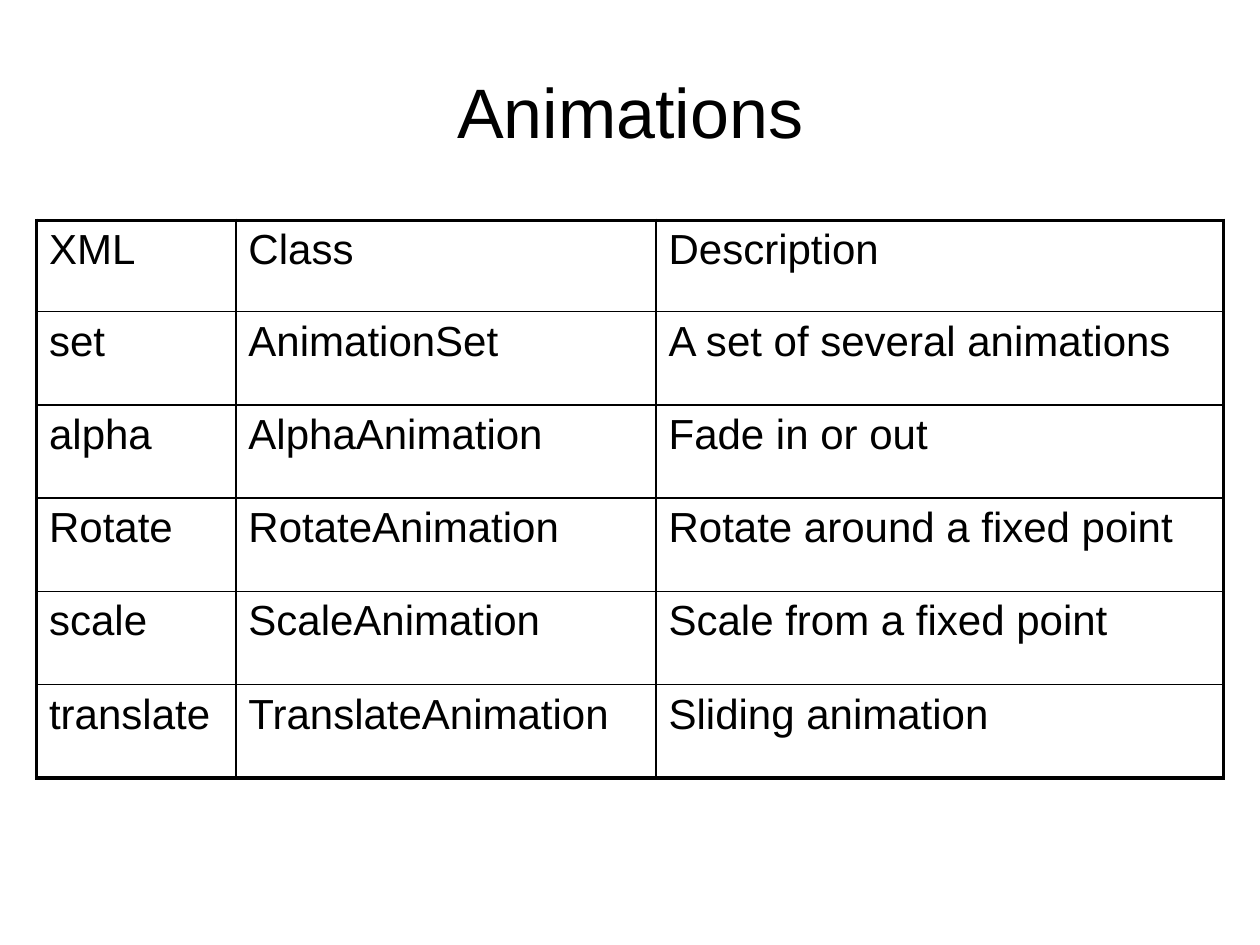
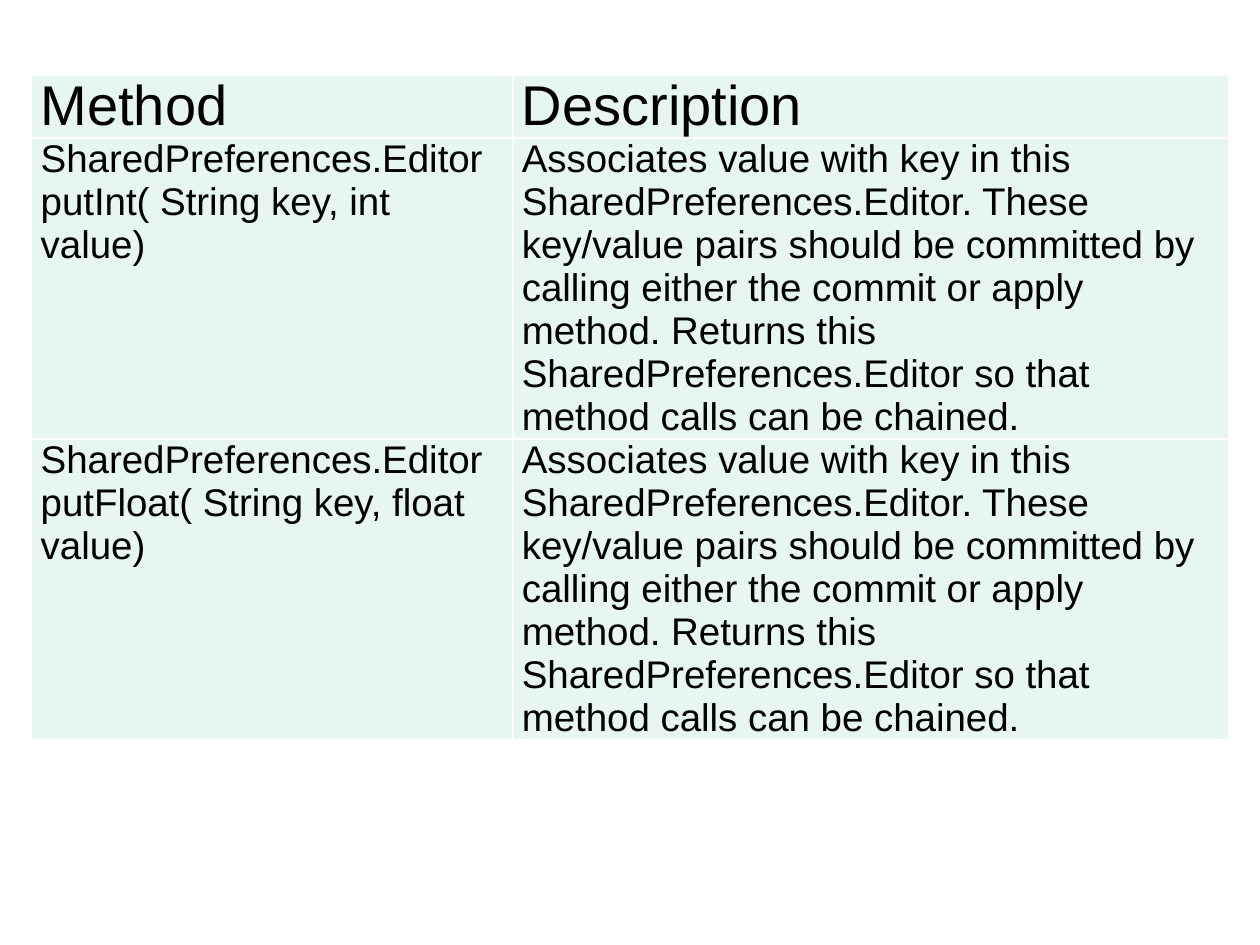
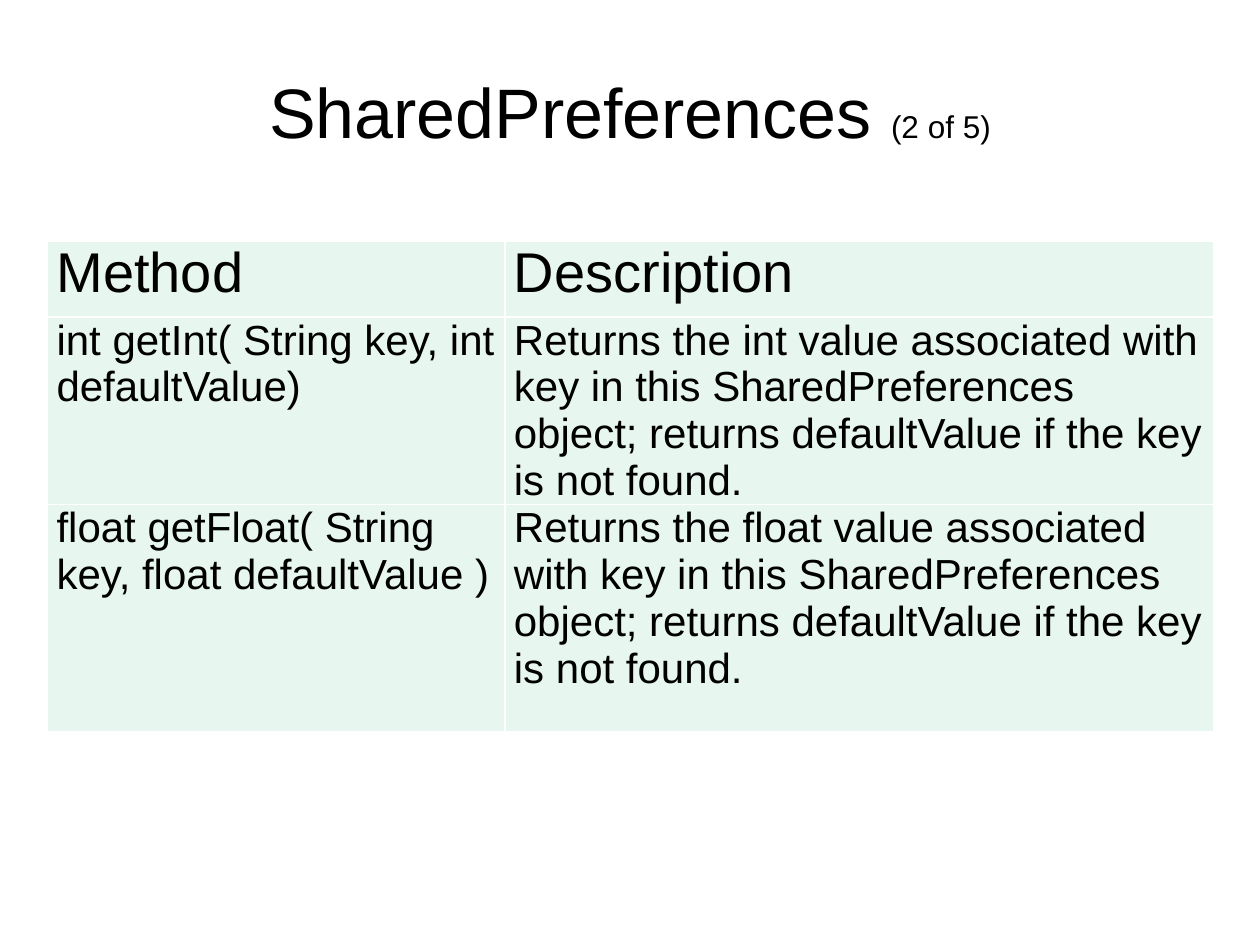
from pptx import Presentation
from pptx.dml.color import RGBColor
from pptx.enum.text import MSO_ANCHOR, PP_ALIGN
from pptx.oxml.ns import qn
from pptx.util import Cm, Pt
from lxml.etree import SubElement

FONT = "Arial"
LINE_RATIO = 1.117
BLACK, WHITE, MINT = "000000", "FFFFFF", "E7F6EF"
TITLE_BOX = (1.27, 0.64, 22.86, 3.18)

ANIMATIONS = [
    ("XML", "Class", "Description"),
    ("set", "AnimationSet", "A set of several animations"),
    ("alpha", "AlphaAnimation", "Fade in or out"),
    ("Rotate", "RotateAnimation", "Rotate around a fixed point"),
    ("scale", "ScaleAnimation", "Scale from a fixed point"),
    ("translate", "TranslateAnimation", "Sliding animation"),
]
METHOD_HEADER = ("Method", "Description")
PUT_DESCRIPTION = (
    "Associates value with key in this SharedPreferences.Editor. These key/value pairs "
    "should be committed by calling either the commit or apply method. Returns this "
    "SharedPreferences.Editor so that method calls can be chained."
)
GET_DESCRIPTION = (
    "Returns the {} value associated with key in this SharedPreferences object; "
    "returns defaultValue if the key is not found."
)
PUT_METHODS = [
    METHOD_HEADER,
    ("SharedPreferences.Editor putInt( String key, int value)", PUT_DESCRIPTION),
    ("SharedPreferences.Editor putFloat( String key, float value)", PUT_DESCRIPTION),
]
GET_METHODS = [
    METHOD_HEADER,
    ("int getInt( String key, int defaultValue)", GET_DESCRIPTION.format("int")),
    ("float getFloat( String key, float defaultValue )", GET_DESCRIPTION.format("float")),
]

GRID_STYLE = {"fill": None, "line": BLACK, "outer": 2.25, "inner": 1, "insets": (0.25, 0.13)}
MINT_STYLE = {"fill": MINT, "line": WHITE, "outer": 1, "inner": 1, "insets": (0.18, 0)}

SLIDES = [
    {"title": [("Animations", 40)], "rows": ANIMATIONS, "style": GRID_STYLE,
     "corner": (0.74, 4.44), "widths": [4.02, 8.47, 11.43],
     "heights": [1.84] + [1.88] * 5, "sizes": (24, 24)},
    {"title": [], "rows": PUT_METHODS, "style": MINT_STYLE,
     "corner": (0.64, 1.52), "widths": [9.7, 14.43],
     "heights": [1.26, 6.07, 6.07], "sizes": (32, 22)},
    {"title": [("SharedPreferences ", 40), ("(2 of 5)", 18)], "rows": GET_METHODS,
     "style": MINT_STYLE, "corner": (0.96, 4.87), "widths": [9.22, 14.28],
     "heights": [1.52, 3.77, 4.57], "sizes": (32, 24)},
]


def color(value):
    return RGBColor.from_string(value)


def set_font(font, size):
    font.name = FONT
    font.size = Pt(size)
    font.color.rgb = color(BLACK)


def add_title(slide, parts):
    frame = slide.shapes.add_textbox(*map(Cm, TITLE_BOX)).text_frame
    frame.word_wrap = True
    frame.vertical_anchor = MSO_ANCHOR.MIDDLE
    paragraph = frame.paragraphs[0]
    paragraph.alignment = PP_ALIGN.CENTER
    for text, size in parts:
        run = paragraph.add_run()
        run.text = text
        set_font(run.font, size)


def set_borders(cell, widths, line):
    properties = cell._tc.get_or_add_tcPr()
    for side, width in zip("LRTB", widths):
        border = SubElement(properties, qn(f"a:ln{side}"), w=str(Pt(width)))
        fill = SubElement(border, qn("a:solidFill"))
        SubElement(fill, qn("a:srgbClr"), val=line)


def fill_cell(cell, text, size, style):
    cell.text = text
    paragraph = cell.text_frame.paragraphs[0]
    paragraph.line_spacing = Pt(size * LINE_RATIO)
    set_font(paragraph.font, size)
    horizontal, vertical = map(Cm, style["insets"])
    cell.margin_left = cell.margin_right = horizontal
    cell.margin_top = cell.margin_bottom = vertical
    if style["fill"]:
        cell.fill.solid()
        cell.fill.fore_color.rgb = color(style["fill"])
    else:
        cell.fill.background()


def add_table(slide, rows, style, corner, widths, heights, sizes):
    extent = (sum(widths), sum(heights))
    table = slide.shapes.add_table(
        len(rows), len(widths), *map(Cm, corner + extent)).table
    table.first_row = table.horz_banding = False
    for column, width in zip(table.columns, widths):
        column.width = Cm(width)
    for row, height in zip(table.rows, heights):
        row.height = Cm(height)
    last_row, last_column = len(rows) - 1, len(widths) - 1
    for r, texts in enumerate(rows):
        for c, text in enumerate(texts):
            cell = table.cell(r, c)
            on_edge = (c == 0, c == last_column, r == 0, r == last_row)
            set_borders(cell, [style["outer" if edge else "inner"] for edge in on_edge],
                        style["line"])
            fill_cell(cell, text, sizes[min(r, 1)], style)


def main():
    presentation = Presentation()
    presentation.slide_width = Cm(25.4)
    presentation.slide_height = Cm(19.05)
    for content in SLIDES:
        slide = presentation.slides.add_slide(presentation.slide_layouts[6])
        table_content = dict(content)
        title = table_content.pop("title")
        if title:
            add_title(slide, title)
        add_table(slide, **table_content)
    presentation.save("out.pptx")


if __name__ == "__main__":
    main()
